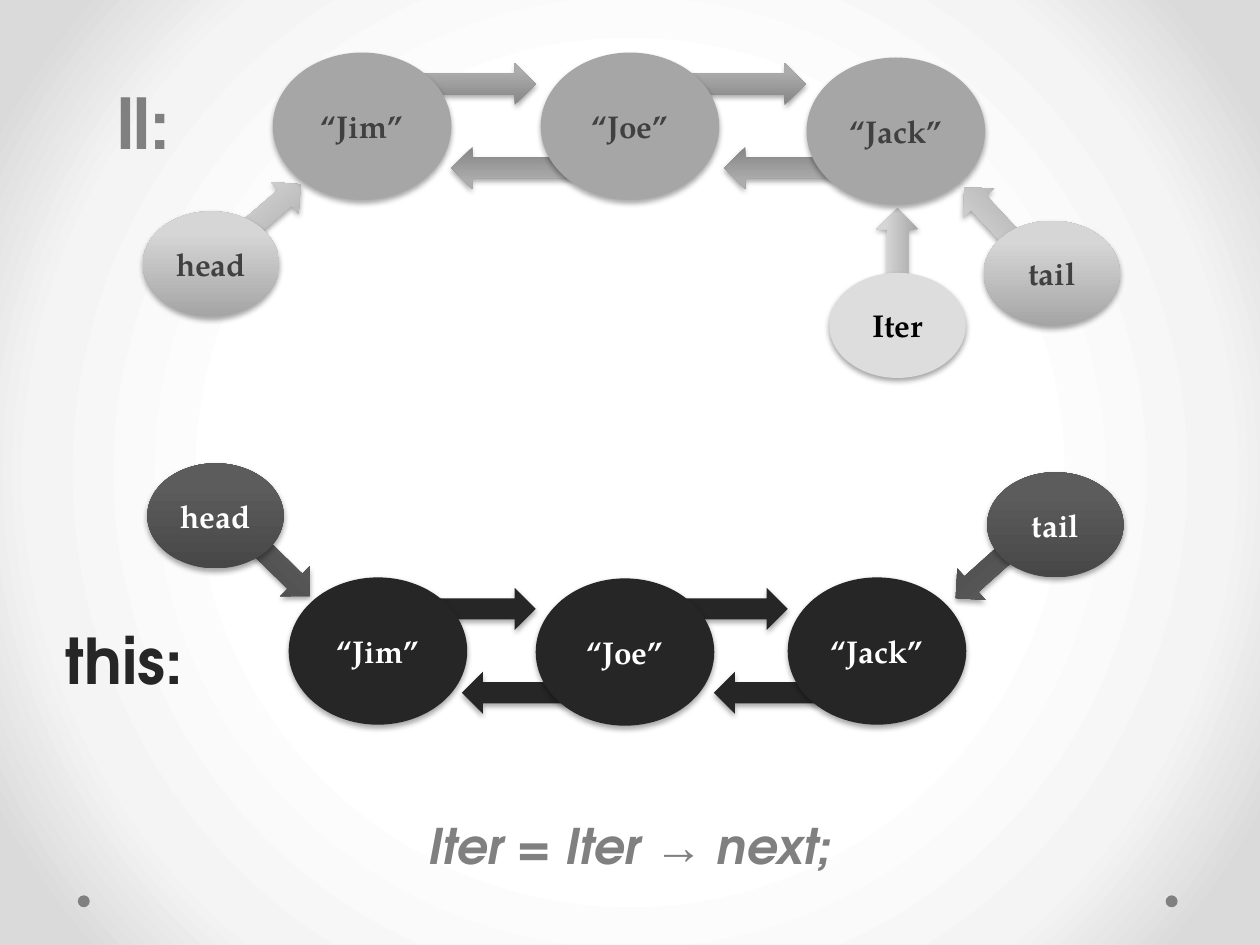
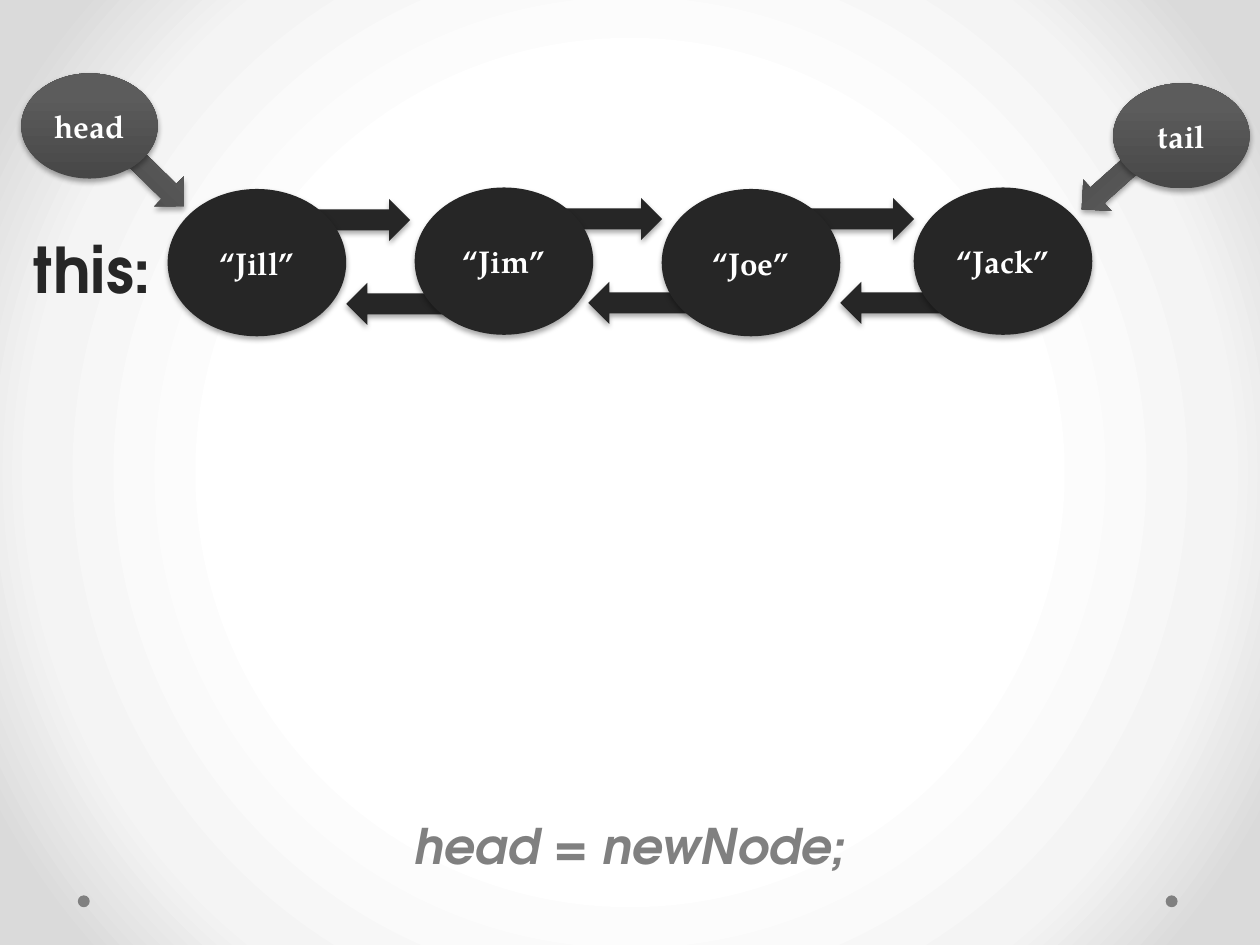
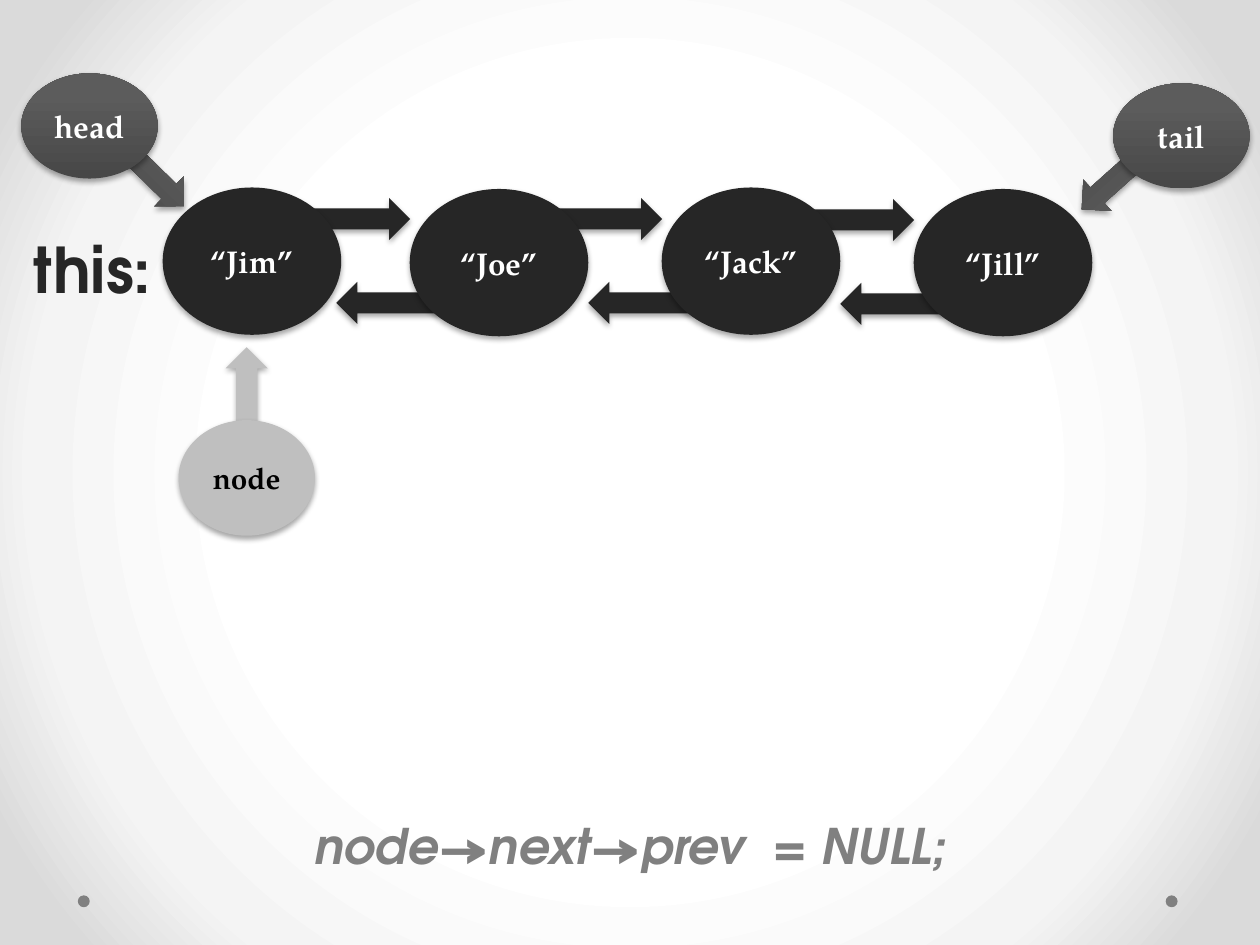
from collections import namedtuple

from pptx import Presentation
from pptx.dml.color import RGBColor
from pptx.enum.shapes import MSO_SHAPE as Preset
from pptx.enum.text import MSO_ANCHOR as Anchor, MSO_AUTO_SIZE as AutoSize, PP_ALIGN as Align
from pptx.oxml import parse_xml
from pptx.oxml.ns import nsdecls, qn
from pptx.util import Cm, Pt


class Theme:
    body_font, heading_font, symbol_font = "TeX Gyre Pagella", "TeX Gyre Adventor", "Times New Roman"
    node_size, label_size, caption_size = 18, 36, 28
    muted, dark, white, black, charcoal = "808080", "262626", "FFFFFF", "000000", "404040"
    # One colour is a solid fill, two are a gradient from bottom to top
    ink, steel, slate = ["262626"], ["A6A6A6"], ["474747", "5C5C5C"]
    steel_shade, silver = ["858585", "ACACAC"], ["A5A5A5", "D6D6D6"]
    mist, ash = ["DDDDDD"], ["BFBFBF"]
    background = [(50, "FFFFFF"), (76, "F4F4F4"), (92, "DADADA")]


SLIDE_W, SLIDE_H = 25.4, 19.05
NODE_W, NODE_H = 3.6, 2.97
POINTER_W, POINTER_H = 2.75, 2.12
POINTER_ARROW_W, ARROW_H = 1.69, 0.85
PREV_DROP = 1.69  # from a "next" arrow down to its "prev" arrow

SHADOW = (f'<a:outerShdw {nsdecls("a")} blurRad="40000" dist="23000" dir="5400000" rotWithShape="0">'
          '<a:srgbClr val="000000"><a:alpha val="35000"/></a:srgbClr></a:outerShdw>')

# nodes: text, left, top; links: left of next, left of prev, top of next
Chain = namedtuple("Chain", "fill arrow_fill ink next_widths prev_width nodes links")
# The arrow is placed relative to the pointer's ellipse
PointerStyle = namedtuple("PointerStyle", "fill arrow_fill ink dx dy angle height size",
                          defaults=(POINTER_H, Theme.node_size))
Page = namedtuple("Page", "chains pointers labels caption")

DARK_HEAD = PointerStyle(Theme.slate, Theme.slate, Theme.white, 1.83, 1.66, 44.5)
DARK_TAIL = PointerStyle(Theme.slate, Theme.slate, Theme.white, -0.85, 1.55, 138.2)
PALE_HEAD = PointerStyle(Theme.silver, Theme.silver, Theme.charcoal, 1.7, -0.42, 319.3)
PALE_TAIL = PointerStyle(Theme.silver, Theme.silver, Theme.charcoal, -0.66, -0.48, 226.9)
ITERATOR = PointerStyle(Theme.mist, Theme.silver, Theme.black, 0.53, -0.88, 270)
NEW_NODE = PointerStyle(Theme.ash, Theme.ash, Theme.black, 0.53, -1.05, 270, 2.33, 17)

DARK_CHAIN = (Theme.ink, Theme.ink, Theme.white, [2.12] * 3, 2.12)
PALE_CHAIN = (Theme.steel, Theme.steel_shade, Theme.charcoal, [2.33, 2.69], 2.54)

TOP_POINTERS = [("head", 0.43, 1.48, DARK_HEAD), ("tail", 22.44, 1.68, DARK_TAIL)]
TOP_LABEL = ("this:", 0.43, 4.52, 3.45, Theme.label_size, Theme.dark)

PAGES = [
    Page(
        [Chain(*PALE_CHAIN,
               [("“Jim”", 5.5, 1.06), ("“Joe”", 10.9, 1.06), ("“Jack”", 16.26, 1.16)],
               [(8.47, 9.1, 1.27), (13.55, 14.6, 1.27)]),
         Chain(*DARK_CHAIN,
               [("“Jim”", 5.82, 11.64), ("“Joe”", 10.8, 11.66), ("“Jack”", 15.88, 11.64)],
               [(8.68, 9.31, 11.85), (13.76, 14.39, 11.85)])],
        [("head", 2.88, 4.26, PALE_HEAD), ("tail", 19.83, 4.45, PALE_TAIL),
         ("Iter", 16.72, 5.5, ITERATOR),
         ("head", 2.97, 9.34, DARK_HEAD), ("tail", 19.9, 9.52, DARK_TAIL)],
        [("ll:", 2.11, 1.47, 1.9, 40, Theme.muted),
         ("this:", 1.07, 12.4, 3.45, Theme.label_size, Theme.dark)],
        ["Iter = Iter ", "→", " next;"]),
    Page(
        [Chain(*DARK_CHAIN,
               [("“Jill”", 3.38, 3.81), ("“Jim”", 8.36, 3.78),
                ("“Joe”", 13.34, 3.81), ("“Jack”", 18.42, 3.78)],
               [(6.15, 6.98, 4.01), (11.23, 11.86, 3.99), (16.31, 16.94, 3.99)])],
        TOP_POINTERS, [TOP_LABEL], ["head = newNode;"]),
    Page(
        [Chain(*DARK_CHAIN,
               [("“Jim”", 3.28, 3.78), ("“Joe”", 8.26, 3.81),
                ("“Jack”", 13.34, 3.78), ("“Jill”", 18.42, 3.81)],
               [(6.15, 6.78, 3.99), (11.23, 11.86, 3.99), (16.31, 16.94, 4.01)])],
        TOP_POINTERS + [("node", 3.6, 8.47, NEW_NODE)], [TOP_LABEL],
        ["node→next→prev  = NULL;"]),
]


def write(frame, pieces, font_name, size, colour, align=Align.CENTER, italic=False):
    """Fill the frame with one paragraph; a piece that is only an arrow takes the symbol font."""
    frame.word_wrap = True
    paragraph = frame.paragraphs[0]
    paragraph.alignment = align
    for piece in pieces:
        run = paragraph.add_run()
        run.text = piece
        run.font.name = Theme.symbol_font if piece == "→" else font_name
        run.font.bold = piece != "→"
        run.font.italic = italic
        run.font.size = Pt(size)
        run.font.color.rgb = RGBColor.from_string(colour)


def add_part(slide, preset, box, colours, angle=0):
    """Add a borderless shape with a soft shadow."""
    part = slide.shapes.add_shape(preset, *map(Cm, box))
    part.rotation = angle
    part.line.fill.background()
    if len(colours) == 1:
        part.fill.solid()
        part.fill.fore_color.rgb = RGBColor.from_string(colours[0])
    else:
        part.fill.gradient()
        part.fill.gradient_angle = 90
        for stop, colour, position in zip(part.fill.gradient_stops, colours, (0, 0.8)):
            stop.color.rgb = RGBColor.from_string(colour)
            stop.position = position
    part.shadow.inherit = False
    part.element.spPr.find(qn("a:effectLst")).append(parse_xml(SHADOW))
    return part


prs = Presentation()
prs.slide_width, prs.slide_height = Cm(SLIDE_W), Cm(SLIDE_H)
blank = prs.slide_layouts[6]
slides = [prs.slides.add_slide(blank) for _ in PAGES]

# Shared background and corner dots on the master
master = prs.slide_master
master.background.fill.solid()
background = master.element.find(".//" + qn("p:bgPr"))
stops = "".join(f'<a:gs pos="{position * 1000}"><a:srgbClr val="{colour}"/></a:gs>'
                for position, colour in Theme.background)
background.replace(background[0], parse_xml(
    f'<a:gradFill {nsdecls("a")} rotWithShape="1"><a:gsLst>{stops}</a:gsLst><a:path path="circle">'
    '<a:fillToRect l="50000" t="50000" r="50000" b="50000"/></a:path></a:gradFill>'))
for dot_id, dot_left in enumerate((23.5, 1.57), start=101):
    dot = slides[0].shapes.add_shape(Preset.OVAL, Cm(dot_left), Cm(18.05), Cm(0.24), Cm(0.24))
    dot.fill.solid()
    dot.fill.fore_color.rgb = RGBColor.from_string(Theme.muted)
    dot.line.fill.background()
    dot.shadow.inherit = False
    dot.element.nvSpPr.cNvPr.id = dot_id
    master.element.cSld.spTree.append(dot.element)

for slide, page in zip(slides, PAGES):
    # Arrows lie behind the ellipses
    for chain in page.chains:
        for (next_left, prev_left, top), next_width in zip(chain.links, chain.next_widths):
            add_part(slide, Preset.RIGHT_ARROW, (next_left, top, next_width, ARROW_H),
                     chain.arrow_fill)
            add_part(slide, Preset.RIGHT_ARROW,
                     (prev_left, top + PREV_DROP, chain.prev_width, ARROW_H),
                     chain.arrow_fill, 180)
    for _, left, top, style in page.pointers:
        add_part(slide, Preset.RIGHT_ARROW,
                 (left + style.dx, top + style.dy, POINTER_ARROW_W, ARROW_H),
                 style.arrow_fill, style.angle)

    ellipses = [(text, (left, top, NODE_W, NODE_H), chain.fill, chain.ink, Theme.node_size)
                for chain in page.chains for text, left, top in chain.nodes]
    ellipses += [(text, (left, top, POINTER_W, style.height), style.fill, style.ink, style.size)
                 for text, left, top, style in page.pointers]
    for text, box, fill, ink, size in ellipses:
        frame = add_part(slide, Preset.OVAL, box, fill).text_frame
        frame.margin_left = frame.margin_right = 0
        frame.vertical_anchor = Anchor.MIDDLE
        write(frame, [text], Theme.body_font, size, ink)

    for text, left, top, width, size, colour in page.labels:
        label = slide.shapes.add_textbox(Cm(left), Cm(top), Cm(width), Cm(1.8))
        label.text_frame.auto_size = AutoSize.SHAPE_TO_FIT_TEXT
        write(label.text_frame, [text], Theme.heading_font, size, colour, Align.LEFT)

    caption = slide.shapes.add_textbox(Cm(3.7), Cm(16.31), Cm(SLIDE_W - 2 * 3.7), Cm(1.45))
    caption.text_frame.auto_size = AutoSize.SHAPE_TO_FIT_TEXT
    write(caption.text_frame, page.caption, Theme.heading_font, Theme.caption_size,
          Theme.muted, italic=True)

prs.save("out.pptx")
